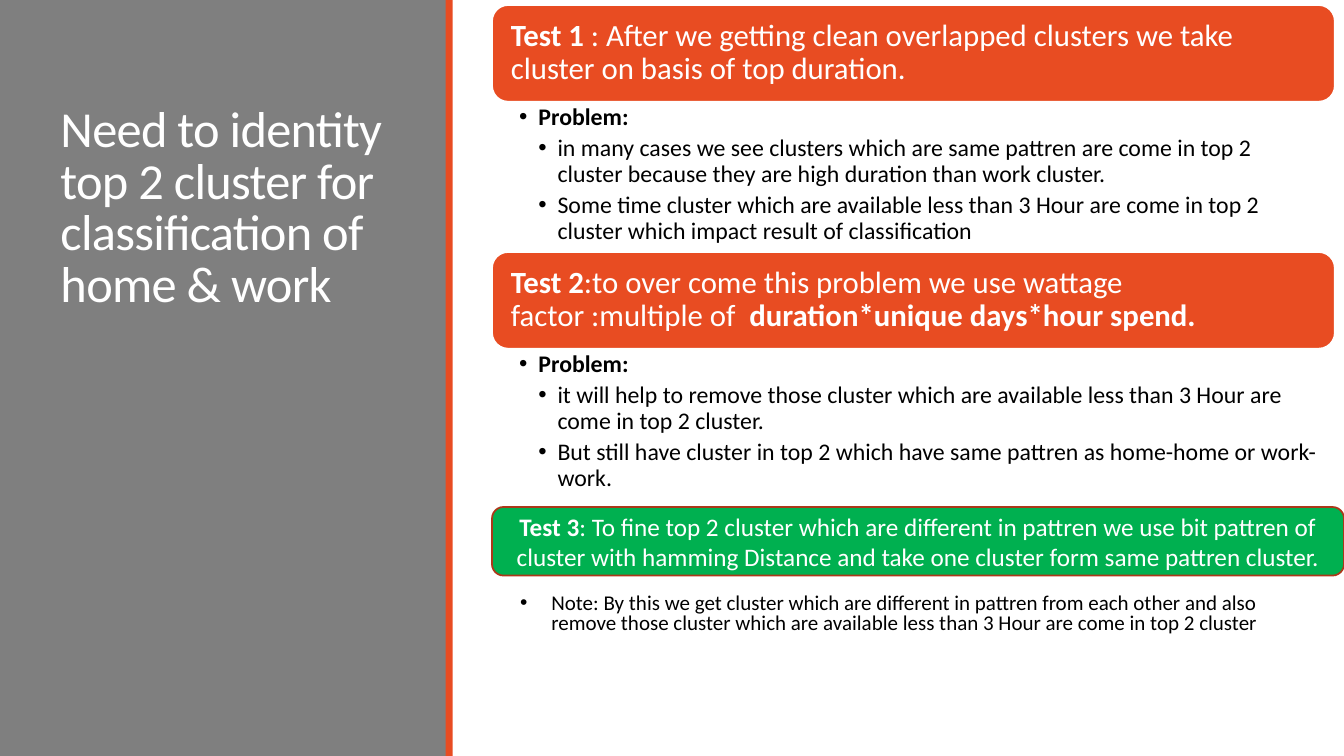
from dataclasses import dataclass

from lxml import etree
from pptx import Presentation
from pptx.dml.color import RGBColor as RGB
from pptx.enum.shapes import MSO_SHAPE as SHAPE
from pptx.enum.text import MSO_ANCHOR as ANCHOR, MSO_AUTO_SIZE as FIT, PP_ALIGN as ALIGN
from pptx.oxml.ns import qn
from pptx.util import Inches, Pt

TITLE = "Need to identity top 2 cluster for classification of home & work"
TESTS = [
    {
        "heading": [
            ("Test 1 ", True),
            (": After we getting clean overlapped clusters we take cluster on basis of top duration.", False),
        ],
        "problems": [
            "in many cases we see clusters which are same pattren are come in top 2 cluster "
            "because they are high duration than work cluster.",
            "Some time cluster which are available less than 3 Hour are come in top 2 cluster "
            "which impact result of classification",
        ],
    },
    {
        "heading": [
            ("Test 2", True),
            (":to over come this problem we use wattage factor :multiple of  ", False),
            ("duration*unique days*hour spend.", True),
        ],
        "problems": [
            "it will help to remove those cluster which are available less than 3 Hour are come in top 2 cluster.",
            "But still have cluster in top 2 which have same pattren as home-home or work-work.",
        ],
    },
]
FINAL_TEST = [
    ("Test 3", True),
    (": To fine top 2 cluster which are different in pattren we use bit pattren of cluster "
     "with hamming Distance and take one cluster form same pattren cluster.", False),
]
NOTE = ("Note: By this we get cluster which are different in pattren from each other and also "
        "remove those cluster which are available less than 3 Hour are come in top 2 cluster")


@dataclass(frozen=True)
class Theme:
    font: str = "Calibri"
    panel: RGB = RGB(0x7F, 0x7F, 0x7F)
    accent: RGB = RGB(0xE8, 0x4C, 0x22)
    outline: RGB = RGB(0xAC, 0x38, 0x19)
    green: RGB = RGB(0x00, 0xB0, 0x50)
    light: RGB = RGB(0xFF, 0xFF, 0xFF)
    dark: RGB = RGB(0, 0, 0)
    title: int = 36
    heading: int = 22
    final: int = 18
    body: int = 17
    note: int = 15


T = Theme()
LEFT, WIDTH = 4.88, 8.36
TOP, HEADING_H, BODY_H = 0.05, 0.96, 1.49


def style(p, size, color, spacing=None, after=0, align=ALIGN.LEFT):
    p.font.name, p.font.size, p.font.color.rgb = T.font, Pt(size), color
    p.alignment, p.space_after = align, Pt(after)
    if spacing:
        p.line_spacing = spacing


def add_runs(p, runs):
    for text, bold in runs:
        r = p.add_run()
        r.text, r.font.bold = text, bold


def bullet(p, margin, hang):
    pPr = p._p.get_or_add_pPr()
    pPr.set("marL", str(Inches(margin)))
    pPr.set("indent", str(-Inches(hang)))
    font = etree.Element(qn("a:buFont"), typeface="Arial")
    char = etree.Element(qn("a:buChar"), char="•")
    pPr.insert_element_before(font, "a:tabLst", "a:defRPr", "a:extLst")
    font.addnext(char)


def set_frame(tf, insets, anchor=ANCHOR.TOP):
    tf.word_wrap, tf.auto_size, tf.vertical_anchor = True, FIT.NONE, anchor
    tf.margin_left, tf.margin_top, tf.margin_right, tf.margin_bottom = map(Inches, insets)
    return tf


def add_block(s, kind, box, fill, line=None):
    sp = s.shapes.add_shape(kind, *map(Inches, box))
    sp.shadow.inherit = False
    sp.fill.solid()
    sp.fill.fore_color.rgb = fill
    if line is None:
        sp.line.fill.background()
    else:
        sp.line.color.rgb, sp.line.width = line, Pt(1.25)
    return sp


def add_text(s, box, insets):
    return set_frame(s.shapes.add_textbox(*map(Inches, box)).text_frame, insets)


def add_title(s):
    sp = s.shapes.title
    sp.left, sp.top, sp.width, sp.height = map(Inches, (0.5, 0.65, 3.5, 2.5))
    tf = set_frame(sp.text_frame, (0.1, 0.05, 0.1, 0.05), ANCHOR.BOTTOM)
    tf.text = TITLE
    p = tf.paragraphs[0]
    style(p, T.title, T.light, 0.85)
    p.runs[0].font._element.set("spc", "-50")
    s.shapes._spTree.append(sp._element)


def add_test(s, test, top):
    sp = add_block(s, SHAPE.ROUNDED_RECTANGLE, (LEFT, top, WIDTH, HEADING_H), T.accent, T.light)
    p = set_frame(sp.text_frame, (0.14, 0.09, 0.14, 0.09), ANCHOR.MIDDLE).paragraphs[0]
    add_runs(p, test["heading"])
    style(p, T.heading, T.light, 0.9)

    tf = add_text(s, (LEFT, top + HEADING_H, WIDTH, BODY_H), (0.27, 0.03, 0.17, 0.03))
    lines = [("Problem:", True, 1)] + [(text, False, 2) for text in test["problems"]]
    for i, (text, bold, level) in enumerate(lines):
        p = tf.add_paragraph() if i else tf.paragraphs[0]
        add_runs(p, [(text, bold)])
        style(p, T.body, T.dark, 0.9, 4)
        p.level = level
        bullet(p, 0.19 * level, 0.19)


def main():
    prs = Presentation()
    prs.slide_width, prs.slide_height = Inches(13.33), Inches(7.5)
    s = prs.slides.add_slide(prs.slide_layouts[5])

    add_block(s, SHAPE.RECTANGLE, (0, 0, 4.43, 7.5), T.panel)
    add_block(s, SHAPE.RECTANGLE, (4.42, 0, 0.07, 7.5), T.accent)
    add_title(s)

    for i, test in enumerate(TESTS):
        add_test(s, test, TOP + i * (HEADING_H + BODY_H))

    sp = add_block(s, SHAPE.ROUNDED_RECTANGLE, (LEFT, 5.03, 8.45, 0.68), T.green, T.outline)
    p = set_frame(sp.text_frame, (0.1, 0.05, 0.1, 0.05), ANCHOR.MIDDLE).paragraphs[0]
    add_runs(p, FINAL_TEST)
    style(p, T.final, T.light, align=ALIGN.CENTER)

    p = add_text(s, (5.06, 5.85, 8.18, 0.93), (0.1, 0.05, 0.1, 0.05)).paragraphs[0]
    add_runs(p, [(NOTE, False)])
    style(p, T.note, T.dark, 0.8, 2)
    bullet(p, 0.31, 0.31)

    prs.save("out.pptx")


if __name__ == "__main__":
    main()
